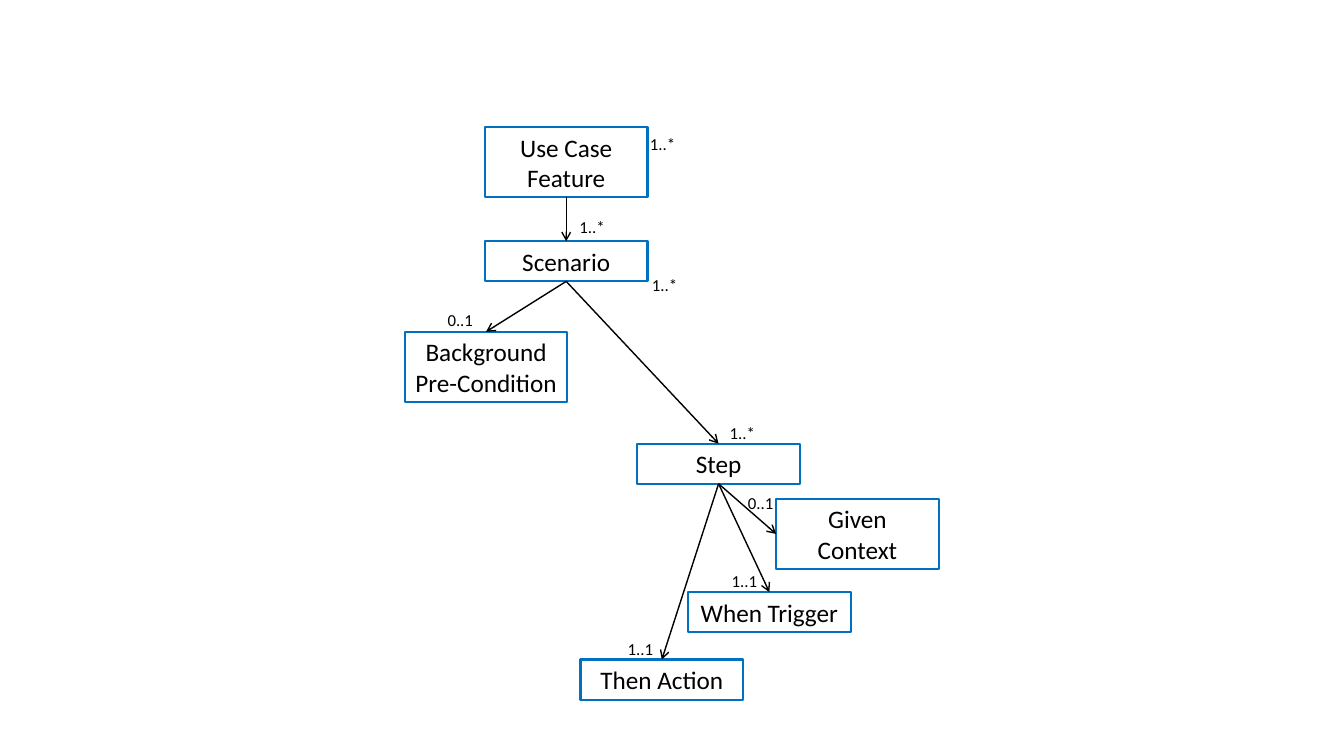
import pptx
import pptx.dml.color
import pptx.enum.shapes
import pptx.enum.text
import pptx.oxml.xmlchemy
import pptx.util

Cm = pptx.util.Cm
Pt = pptx.util.Pt
TOP, LEFT, BOTTOM = 0, 1, 2


def color(code):
    """Turn a hex string into a colour."""
    return pptx.dml.color.RGBColor.from_string(code)


class Chart:
    """Draws boxes, arrows and counts in one style on a slide."""

    font = "Calibri"
    ink = "000000"
    edge = "0070C0"
    width = 4.1
    row = 0.76

    def __init__(self, slide):
        self.shapes = slide.shapes

    def label(self, shape, text, size):
        frame = shape.text_frame
        frame.word_wrap = True
        frame.auto_size = pptx.enum.text.MSO_AUTO_SIZE.SHAPE_TO_FIT_TEXT
        frame.vertical_anchor = pptx.enum.text.MSO_ANCHOR.TOP
        para = frame.paragraphs[0]
        para.text = text
        para.alignment = pptx.enum.text.PP_ALIGN.CENTER
        para.font.name = self.font
        para.font.size = Pt(size)
        para.font.color.rgb = color(self.ink)

    def box(self, text, left, top, rows):
        height = 0.25 + self.row * rows
        shape = self.shapes.add_shape(
            pptx.enum.shapes.MSO_SHAPE.RECTANGLE,
            Cm(left), Cm(top), Cm(self.width), Cm(height))
        shape.shadow.inherit = False
        shape.fill.background()
        shape.line.color.rgb = color(self.edge)
        shape.line.width = Pt(1.5)
        self.label(shape, text, 18)
        return shape

    def arrow(self, start, end, side):
        link = self.shapes.add_connector(
            pptx.enum.shapes.MSO_CONNECTOR.STRAIGHT, 0, 0, 0, 0)
        link.begin_connect(start, BOTTOM)
        link.end_connect(end, side)
        link.line.color.rgb = color(self.ink)
        link.line.width = Pt(1)
        props = link._element.spPr
        head = pptx.oxml.xmlchemy.OxmlElement("a:tailEnd")
        head.set("type", "arrow")
        props.get_or_add_ln().append(head)
        props.append(pptx.oxml.xmlchemy.OxmlElement("a:effectLst"))

    def count(self, text, left, top):
        shape = self.shapes.add_textbox(Cm(left), Cm(top), Cm(1.3), Cm(0.77))
        self.label(shape, text, 12)


BOXES = [
    ("Use Case Feature", 12.22, 3.2, 2),
    ("Scenario", 12.22, 6.08, 1),
    ("Step", 16.06, 11.18, 1),
    ("Background Pre-Condition", 10.2, 8.36, 2),
    ("Given Context", 19.56, 12.57, 2),
    ("When Trigger", 17.34, 14.92, 1),
    ("Then Action", 14.63, 16.62, 1),
]
ARROWS = [
    ("Use Case Feature", "Scenario", TOP),
    ("Scenario", "Step", TOP),
    ("Scenario", "Background Pre-Condition", TOP),
    ("Step", "Given Context", LEFT),
    ("Step", "Then Action", TOP),
    ("Step", "When Trigger", TOP),
]
COUNTS = [
    ("1..*", 14.27, 5.33),
    ("0..1", 10.95, 7.67),
    ("1..*", 18.06, 10.52),
    ("1..1", 15.49, 15.98),
    ("0..1", 18.52, 12.29),
    ("1..1", 18.11, 14.25),
    ("1..*", 16.05, 3.25),
    ("1..*", 16.1, 6.81),
]


def main():
    deck = pptx.Presentation()
    deck.slide_width, deck.slide_height = Cm(33.87), Cm(19.05)
    chart = Chart(deck.slides.add_slide(deck.slide_layouts[6]))
    nodes = {box[0]: chart.box(*box) for box in BOXES}
    for start, end, side in ARROWS:
        chart.arrow(nodes[start], nodes[end], side)
    for item in COUNTS:
        chart.count(*item)
    deck.save("out.pptx")


if __name__ == "__main__":
    main()
